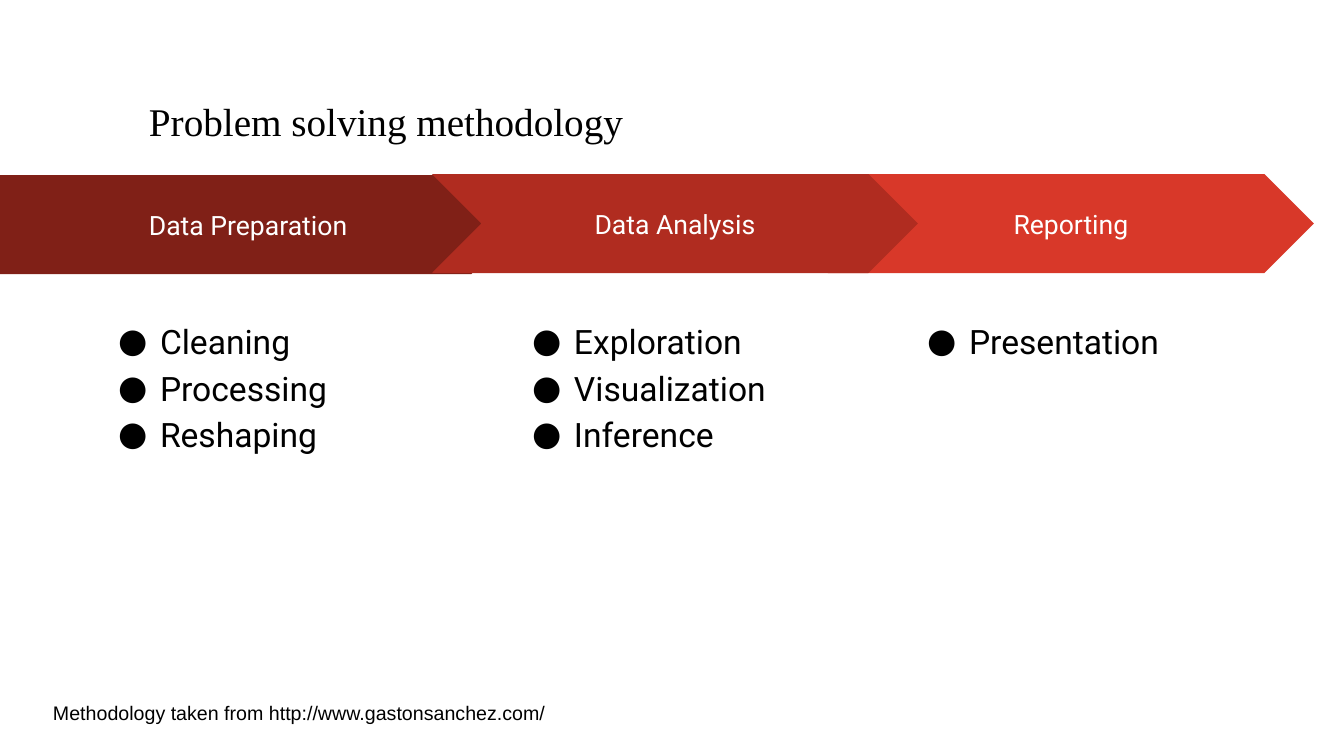
from lxml.etree import SubElement
from pptx import Presentation
from pptx.dml.color import RGBColor
from pptx.enum.shapes import MSO_SHAPE
from pptx.enum.text import MSO_ANCHOR, MSO_AUTO_SIZE, PP_ALIGN
from pptx.oxml.ns import qn
from pptx.util import Emu, Pt

BLACK = RGBColor(0x00, 0x00, 0x00)
WHITE = RGBColor(0xFF, 0xFF, 0xFF)
DARK_RED = RGBColor(0x80, 0x20, 0x17)
MID_RED = RGBColor(0xB0, 0x2C, 0x20)
BRIGHT_RED = RGBColor(0xD8, 0x38, 0x29)

TITLE = "Problem solving methodology"
SOURCE_NOTE = "Methodology taken from http://www.gastonsanchez.com/"

# Back to front: each arrow overlaps the ones before it.
# label, colour, preset, arrow box, list left, body placeholder, list items
STAGES = [
    ("Reporting", BRIGHT_RED, MSO_SHAPE.CHEVRON, (828, 174, 486, 99),
     906, 4, ["Presentation"]),
    ("Data Preparation", DARK_RED, MSO_SHAPE.PENTAGON, (0, 175, 521, 99),
     97, 1, ["Cleaning", "Processing", "Reshaping"]),
    ("Data Analysis", MID_RED, MSO_SHAPE.CHEVRON, (432, 174, 486, 99),
     511, 2, ["Exploration", "Visualization", "Inference"]),
]
UNUSED_PLACEHOLDER = 3
COMPARISON_LAYOUT = 4

SLIDE_SIZE = (1344, 756)
TITLE_BOX = (125, 71, 1027, 95)
NOTE_BOX = (43, 691, 521, 33)
LIST_TOP, LIST_WIDTH, LIST_HEIGHT = 302, 329, 384
STAGE_INSET = 13
BULLET_INDENT, BULLET_HANG = 50, 42


def px(length):
    return Emu(round(length * 914400 / 100.8))


def place(shape, box):
    shape.left, shape.top, shape.width, shape.height = map(px, box)


def set_frame(text_frame, inset_x, inset_y, anchor):
    text_frame.word_wrap = True
    text_frame.auto_size = MSO_AUTO_SIZE.NONE
    text_frame.vertical_anchor = anchor
    text_frame.margin_left = text_frame.margin_right = px(inset_x)
    text_frame.margin_top = text_frame.margin_bottom = px(inset_y)


def set_font(run, name, size, color, bold=False):
    run.font.name = name
    run.font.size = Pt(size)
    run.font.color.rgb = color
    run.font.bold = bold


def add_bullet(paragraph):
    properties = paragraph._p.get_or_add_pPr()
    properties.set("marL", str(px(BULLET_INDENT)))
    properties.set("indent", str(-px(BULLET_HANG)))
    color = SubElement(properties, qn("a:buClr"))
    SubElement(color, qn("a:srgbClr")).set("val", str(BLACK))
    SubElement(properties, qn("a:buFont")).set("typeface", "Roboto")
    SubElement(properties, qn("a:buChar")).set("char", "●")


def fill_title(title):
    place(title, TITLE_BOX)
    set_frame(title.text_frame, 10, 5, MSO_ANCHOR.MIDDLE)
    paragraph = title.text_frame.paragraphs[0]
    paragraph.alignment = PP_ALIGN.LEFT
    paragraph.line_spacing = 0.9
    for text, size, bold in ((" ", 40, True), (TITLE, 28, False)):
        run = paragraph.add_run()
        run.text = text
        set_font(run, "Times New Roman", size, BLACK, bold)


def add_arrow(slide, preset, box, color, label):
    arrow = slide.shapes.add_shape(preset, *map(px, box))
    arrow.shadow.inherit = False
    arrow.fill.solid()
    arrow.fill.fore_color.rgb = color
    arrow.line.fill.background()
    set_frame(arrow.text_frame, STAGE_INSET, STAGE_INSET, MSO_ANCHOR.MIDDLE)
    arrow.text_frame.text = label
    paragraph = arrow.text_frame.paragraphs[0]
    paragraph.alignment = PP_ALIGN.CENTER
    set_font(paragraph.runs[0], "Roboto", 19, WHITE)


def fill_list(body, left, items):
    place(body, (left, LIST_TOP, LIST_WIDTH, LIST_HEIGHT))
    set_frame(body.text_frame, STAGE_INSET, STAGE_INSET, MSO_ANCHOR.TOP)
    body.text_frame.text = "\n".join(items)
    for paragraph in body.text_frame.paragraphs:
        paragraph.line_spacing = 1.15
        paragraph.space_before = Pt(0)
        add_bullet(paragraph)
        set_font(paragraph.runs[0], "Roboto", 24, BLACK)


def add_source_note(slide):
    note = slide.shapes.add_textbox(*map(px, NOTE_BOX))
    set_frame(note.text_frame, 10, 10, MSO_ANCHOR.TOP)
    note.text_frame.text = SOURCE_NOTE
    set_font(note.text_frame.paragraphs[0].runs[0], "Arial", 14, BLACK)


def main():
    presentation = Presentation()
    presentation.slide_width, presentation.slide_height = map(px, SLIDE_SIZE)
    layout = presentation.slide_layouts[COMPARISON_LAYOUT]
    slide = presentation.slides.add_slide(layout)
    bodies = {body.placeholder_format.idx: body for body in slide.placeholders}

    fill_title(slide.shapes.title)
    for label, color, preset, box, list_left, body_index, items in STAGES:
        add_arrow(slide, preset, box, color, label)
        fill_list(bodies[body_index], list_left, items)
    add_source_note(slide)

    unused = bodies[UNUSED_PLACEHOLDER].element
    unused.getparent().remove(unused)
    presentation.save("out.pptx")


if __name__ == "__main__":
    main()
